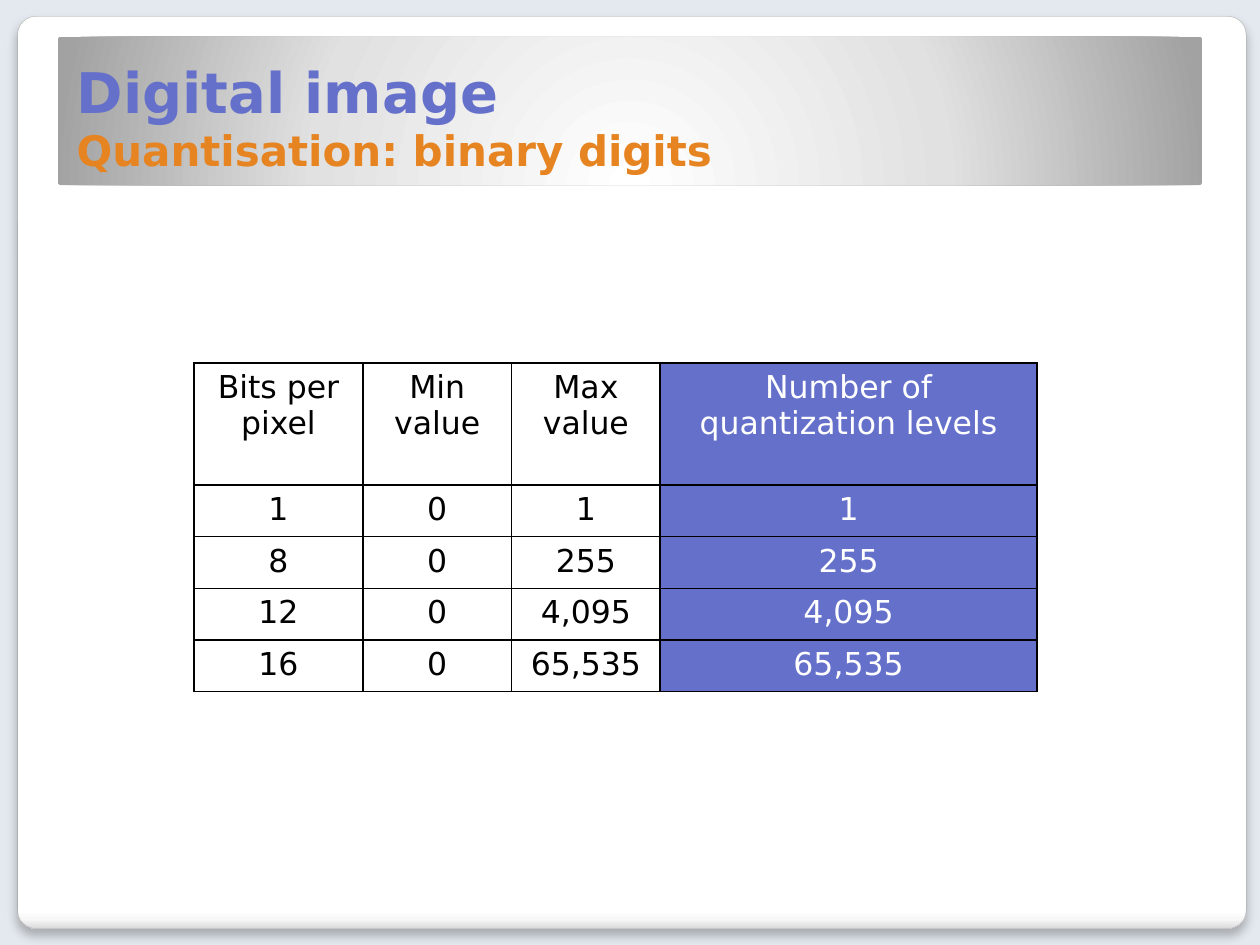
from lxml.etree import SubElement
from pptx import Presentation
from pptx.dml.color import RGBColor
from pptx.enum.shapes import MSO_SHAPE as Shape
from pptx.enum.text import MSO_ANCHOR as Anchor, PP_ALIGN as Align
from pptx.oxml import parse_xml
from pptx.oxml.ns import nsdecls, qn
from pptx.util import Inches, Pt

FONT = "DejaVu Sans"
BACKDROP = RGBColor(0xE4, 0xE9, 0xEF)
EDGE = RGBColor(0xA4, 0xA4, 0xA4)
BLUE = RGBColor(0x64, 0x70, 0xCA)
ORANGE = RGBColor(0xE6, 0x84, 0x22)
BLACK = RGBColor(0, 0, 0)
WHITE = RGBColor(0xFF, 0xFF, 0xFF)
PALE_GREY = RGBColor(0xF7, 0xF7, 0xF7)
SOFT_GREY = RGBColor(0xDA, 0xDA, 0xDA)
LIGHT_GREY = RGBColor(0xE1, 0xE1, 0xE1)
MID_GREY = RGBColor(0xA2, 0xA2, 0xA2)

PANEL_STOPS = [(0, WHITE), (98, WHITE), (99, PALE_GREY), (100, SOFT_GREY)]
BANNER_STOPS = [(0, WHITE), (55, LIGHT_GREY), (100, MID_GREY)]
DOWNWARD = '<a:lin ang="5400000" scaled="0"/>'
RADIAL = ('<a:path path="circle">'
          '<a:fillToRect l="50000" t="175000" r="50000" b="-75000"/></a:path>')

COLUMN_WIDTHS = [1.34, 1.18, 1.18, 2.99]
HEADER_HEIGHT, ROW_HEIGHT = 0.97, 0.41
LEVELS = [
    ("Bits per pixel", "Min value", "Max value", "Number of quantization levels"),
    ("1", "0", "1", "1"),
    ("8", "0", "255", "255"),
    ("12", "0", "4,095", "4,095"),
    ("16", "0", "65,535", "65,535"),
]


def add_run(paragraph, text, size, color, bold=False):
    run = paragraph.add_run()
    run.text = text
    run.font.name = FONT
    run.font.size = Pt(size)
    run.font.bold = bold
    run.font.color.rgb = color


def add_gradient_box(slide, box, stops, direction):
    """Add a slightly rounded box; direction is the gradient's XML element."""
    panel = slide.shapes.add_shape(Shape.ROUNDED_RECTANGLE, *map(Inches, box))
    panel.adjustments[0] = 0.02
    panel.shadow.inherit = False
    panel.line.fill.background()
    panel.fill.background()
    stop_xml = "".join(
        f'<a:gs pos="{percent * 1000}"><a:srgbClr val="{color}"/></a:gs>'
        for percent, color in stops)
    gradient = parse_xml(f'<a:gradFill {nsdecls("a")} rotWithShape="1">'
                         f'<a:gsLst>{stop_xml}</a:gsLst>{direction}</a:gradFill>')
    properties = panel.fill._xPr
    properties.replace(properties.find(qn("a:noFill")), gradient)
    return panel


def add_backdrop(slide, box):
    slide.background.fill.solid()
    slide.background.fill.fore_color.rgb = BACKDROP
    panel = add_gradient_box(slide, box, PANEL_STOPS, DOWNWARD)
    panel.line.color.rgb = EDGE
    panel.line.width = Pt(0.16)
    effects = panel.fill._xPr.find(qn("a:effectLst"))
    shadow = SubElement(effects, qn("a:outerShdw"), blurRad=str(Pt(6)),
                        dist=str(Pt(4)), dir="5400000", rotWithShape="0")
    shade = SubElement(shadow, qn("a:srgbClr"), val=str(BLACK))
    SubElement(shade, qn("a:alpha"), val="25000")


def add_title(slide, box):
    frame = slide.shapes.add_textbox(*map(Inches, box)).text_frame
    frame.word_wrap = True
    frame.vertical_anchor = Anchor.BOTTOM
    heading = frame.paragraphs[0]
    add_run(heading, "Digital image", 32, BLUE, bold=True)
    heading.add_line_break()
    add_run(heading, "Quantisation: binary digits", 24, ORANGE, bold=True)


def add_borders(cell):
    properties = cell._tc.get_or_add_tcPr()
    for position, side in enumerate(("lnL", "lnR", "lnT", "lnB")):
        properties.insert(position, parse_xml(
            f'<a:{side} {nsdecls("a")} w="{Pt(1)}"><a:solidFill>'
            f'<a:srgbClr val="{BLACK}"/></a:solidFill></a:{side}>'))


def add_levels_table(slide, box):
    table = slide.shapes.add_table(
        len(LEVELS), len(COLUMN_WIDTHS), *map(Inches, box)).table
    table.first_row = table.horz_banding = False
    for column, width in zip(table.columns, COLUMN_WIDTHS):
        column.width = Inches(width)
    last = len(COLUMN_WIDTHS) - 1
    for r, values in enumerate(LEVELS):
        table.rows[r].height = Inches(ROW_HEIGHT if r else HEADER_HEIGHT)
        for c, value in enumerate(values):
            cell = table.cell(r, c)
            if c == last:
                cell.fill.solid()
                cell.fill.fore_color.rgb = BLUE
            else:
                cell.fill.background()
            add_borders(cell)
            paragraph = cell.text_frame.paragraphs[0]
            paragraph.alignment = Align.CENTER
            add_run(paragraph, value, 18, WHITE if c == last else BLACK)


def main():
    deck = Presentation()
    deck.slide_width, deck.slide_height = Inches(10), Inches(7.5)
    slide = deck.slides.add_slide(deck.slide_layouts[6])
    add_backdrop(slide, (0.14, 0.13, 9.75, 7.24))
    add_gradient_box(slide, (0.46, 0.29, 9.08, 1.18), BANNER_STOPS, RADIAL)
    add_title(slide, (0.51, 0.29, 8.95, 1.15))
    add_levels_table(slide, (1.54, 2.88, 6.69, 2.61))
    deck.save("out.pptx")


if __name__ == "__main__":
    main()
